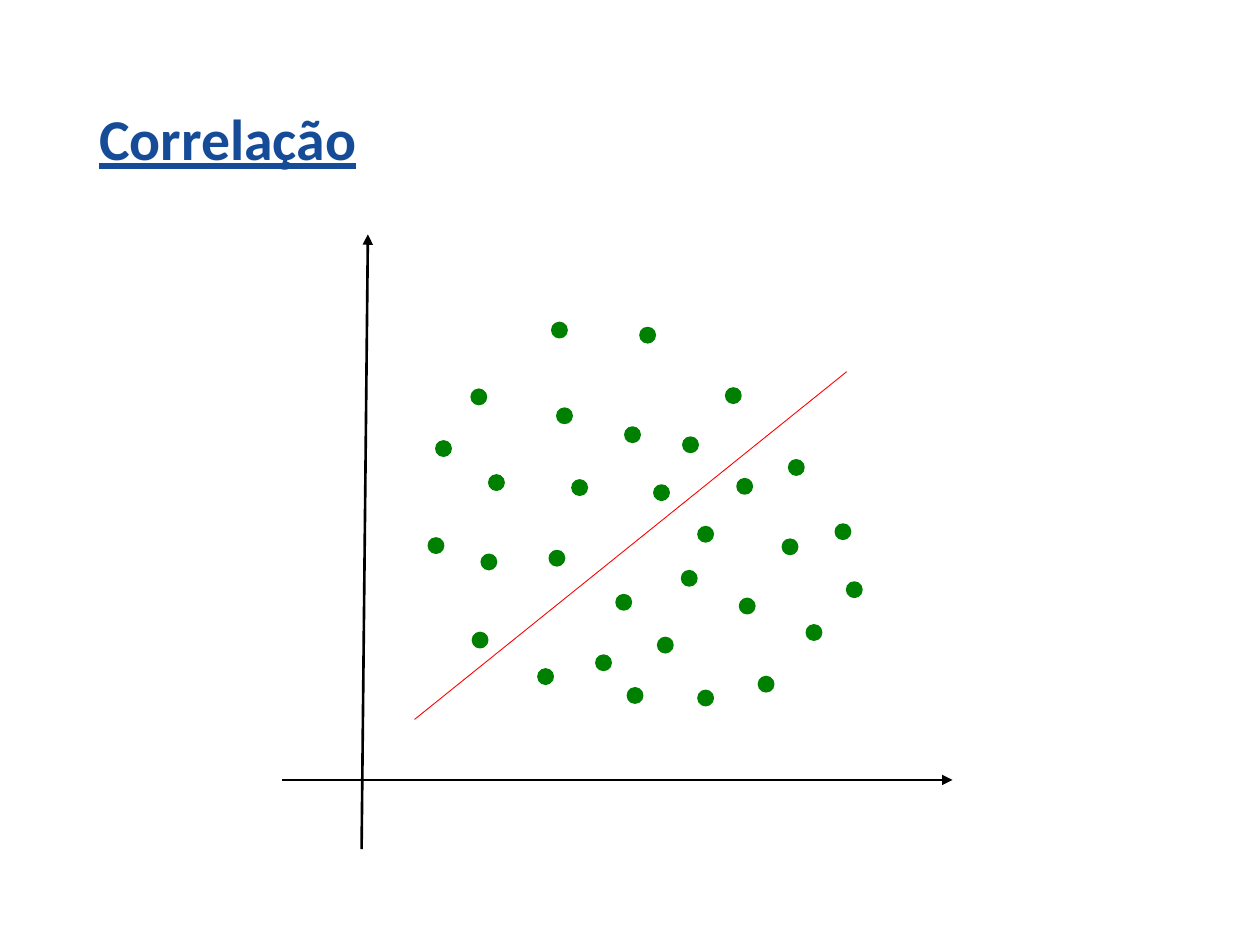
from pptx import Presentation
from pptx.dml.color import RGBColor
from pptx.enum.shapes import MSO_CONNECTOR, MSO_SHAPE
from pptx.enum.text import MSO_ANCHOR
from pptx.oxml.ns import qn
from pptx.util import Inches, Pt
from lxml.etree import SubElement

DOT = 0.12
# Left and top of each dot, in inches from the plot's corner
DOTS = [
    (1.51, 3.16), (1.50, 1.23), (2.12, 2.51), (2.03, 3.45), (2.14, 0.70),
    (1.16, 2.41), (2.65, 2.86), (1.64, 1.91), (3.18, 1.61), (2.84, 0.74),
    (2.18, 1.38), (4.02, 1.79), (3.52, 1.22), (3.61, 1.94), (2.49, 3.34),
    (2.95, 1.99), (1.22, 1.64), (3.30, 2.32), (3.97, 2.42), (2.30, 1.95),
    (2.74, 3.60), (3.17, 2.67), (2.98, 3.20), (2.72, 1.53), (4.39, 2.30),
    (1.58, 2.54), (3.30, 3.62), (3.78, 3.51), (3.63, 2.89), (4.16, 3.10),
    (4.48, 2.76),
]


def color(code):
    return RGBColor.from_string(code)


def add_text(slide, text, box, size=18, fill="000000", bold=False,
             underline=False, spacing=1.0):
    frame = slide.shapes.add_textbox(*map(Inches, box)).text_frame
    frame.word_wrap = True
    frame.vertical_anchor = MSO_ANCHOR.MIDDLE
    para = frame.paragraphs[0]
    para.line_spacing = spacing
    run = para.add_run()
    run.text = text
    font = run.font
    font.name, font.size = "Calibri", Pt(size)
    font.bold, font.underline = bold, underline
    font.color.rgb = color(fill)


def add_line(group, start, end, fill, width, arrow=False):
    line = group.shapes.add_connector(
        MSO_CONNECTOR.STRAIGHT, *map(Inches, (*start, *end)))
    line.line.color.rgb = color(fill)
    line.line.width = Pt(width)
    if arrow:
        SubElement(line.line._get_or_add_ln(), qn("a:tailEnd"), type="triangle")
    SubElement(line._element.spPr, qn("a:effectLst"))


def add_dot(group, x, y, fill):
    dot = group.shapes.add_shape(
        MSO_SHAPE.OVAL, Inches(x), Inches(y), Inches(DOT), Inches(DOT))
    dot.shadow.inherit = False
    dot.fill.solid()
    dot.fill.fore_color.rgb = color(fill)
    dot.line.color.rgb = color(fill)
    dot.line.width = Pt(1)


def add_plot(slide, box):
    left, top, width, height = box
    group = slide.shapes.add_group_shape()

    # Axes
    base = top + 4.33
    add_line(group, (left, base), (left + width, base), "000000", 1.5, True)
    add_line(group, (left + 0.63, top + height), (left + 0.68, top),
             "000000", 1.5, True)

    # Trend line
    add_line(group, (left + 1.05, top + 3.85), (left + 4.48, top + 1.09),
             "FF0000", 0.5)

    # Scattered dots
    for x, y in DOTS:
        add_dot(group, left + x, top + y, "008000")


def main():
    deck = Presentation()
    deck.slide_width, deck.slide_height = Inches(10), Inches(7.5)
    slide = deck.slides.add_slide(deck.slide_layouts[6])
    add_text(slide, "Correlação", (0.69, 0.4, 8.62, 1.45), size=33,
             fill="164C97", bold=True, underline=True, spacing=0.9)
    add_plot(slide, (2.24, 1.86, 5.32, 4.88))
    deck.save("out.pptx")


if __name__ == "__main__":
    main()
